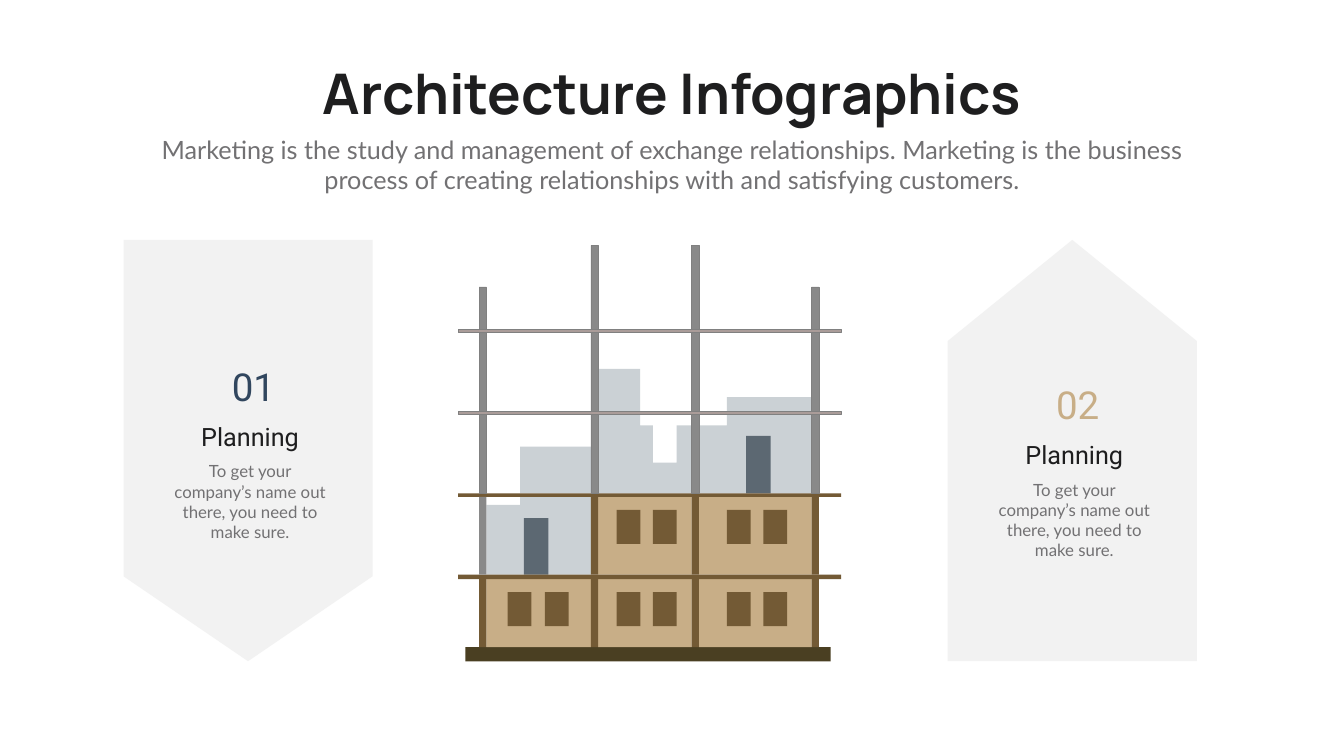
import pptx
import pptx.util
import pptx.dml.color
import pptx.enum.shapes
import pptx.enum.text

Pt = pptx.util.Pt
SHAPE = pptx.enum.shapes.MSO_SHAPE
ALIGN = pptx.enum.text.PP_ALIGN
rgb = pptx.dml.color.RGBColor.from_string


def paint(shape, fill, line=None):
    shape.shadow.inherit = False
    shape.fill.solid()
    shape.fill.fore_color.rgb = rgb(fill)
    if line:
        shape.line.color.rgb = rgb(line)
        shape.line.width = Pt(0.75)
    else:
        shape.line.fill.background()


def write(shapes, text, left, top, width, height, size, font, color,
          align=ALIGN.CENTER, bold=False, wrap=True):
    box = shapes.add_textbox(Pt(left), Pt(top), Pt(width), Pt(height))
    box.text_frame.word_wrap = wrap
    box.text_frame.auto_size = pptx.enum.text.MSO_AUTO_SIZE.SHAPE_TO_FIT_TEXT
    para = box.text_frame.paragraphs[0]
    para.alignment = align
    span = para.add_run()
    span.text = text
    span.font.size = Pt(size)
    span.font.name = font
    span.font.bold = bold
    span.font.color.rgb = rgb(color)


deck = pptx.Presentation()
deck.slide_width = Pt(1919.52)
deck.slide_height = Pt(1080)
page = deck.slides.add_slide(deck.slide_layouts[6])

heading = page.shapes.add_group_shape().shapes
write(heading, "Architecture Infographics", 416.9, 80.6, 1086.5, 104.4,
      80, "Manrope", "1E1E1F", bold=True, wrap=False)
write(heading, "Marketing is the study and management of exchange relationships. "
      "Marketing is the business process of creating relationships with and "
      "satisfying customers.", 210.2, 187.9, 1499, 94.3, 36, "Lato", "727173")

cards = [
    ("01", "31465E", 53.3, 0, 90, 0.341),
    ("02", "C8AE87", 1230.5, 26, 270, 0.406),
]
for number, color, left, drop, turn, point in cards:
    card = page.shapes.add_shape(SHAPE.PENTAGON, Pt(left), Pt(465.8), Pt(601.9), Pt(355.7))
    card.adjustments[0] = point
    card.rotation = turn
    paint(card, "F2F2F2")
    caption = page.shapes.add_group_shape().shapes
    write(caption, "To get your company’s name out there, you need to make sure.",
          left + 181.4, 655.2 + drop, 244.8, 94.3, 24, "Lato", "727173")
    write(caption, "Planning", left + 186.5, 598.3 + drop, 234.7, 51.1,
          36, "Roboto", "1E1E1F")
    write(page.shapes, number, left + 260.3, 514.8 + drop, 86.4, 74.2,
          55, "Roboto", color, align=ALIGN.RIGHT)

TAN, BROWN, STEEL, EDGE = "C8AE87", "735A35", "898989", "808080"
SKYLINE, DOOR = "CBD1D5", "5C6872"
GROUND = 924.5
POST = 10.4
posts = [(684.2, 409.7), (843.8, 350.6), (987.8, 350.6), (1159.2, 409.7)]
beams = [(470.2, 5), (587.5, 5), (704.9, 5), (820.8, 6.5)]
floors = [top + height for top, height in beams]
ceilings = [top for top, height in beams] + [GROUND]
room_lefts = [left + POST for left, top in posts[:3]]
room_rights = [left for left, top in posts[1:]]
windows = [(725, 778.3), (880.6, 932.4), (1038.2, 1090.1)]

skylines = [
    [(743, floors[2]), (room_rights[0], floors[2]), (room_rights[0], ceilings[3]),
     (room_lefts[0], ceilings[3]), (room_lefts[0], 721.4), (743, 721.4)],
    [(room_lefts[1], floors[1]), (914.4, floors[1]), (914.4, 607.7), (932.4, 607.7),
     (932.4, 661), (966.2, 661), (966.2, 607.7), (room_rights[1], 607.7),
     (room_rights[1], ceilings[2]), (room_lefts[1], ceilings[2])],
    [(1038.2, floors[1]), (room_rights[2], floors[1]), (room_rights[2], ceilings[2]),
     (room_lefts[2], ceilings[2]), (room_lefts[2], 607.7), (1038.2, 607.7)],
]
for outline in skylines:
    corners = [(Pt(x), Pt(y)) for x, y in outline]
    builder = page.shapes.build_freeform(*corners[0], scale=1.0)
    builder.add_line_segments(corners[1:], close=True)
    paint(builder.convert_to_shape(), SKYLINE)

blocks = [
    (743, 637.9, room_rights[0], ceilings[2], SKYLINE, None),
    (room_lefts[1], 527, 914.4, ceilings[1], SKYLINE, None),
    (1038.2, 567.4, room_rights[2], ceilings[1], SKYLINE, None),
    (748.1, 740.2, 783.4, ceilings[3], DOOR, None),
    (1065.6, 622.8, 1100.5, ceilings[2], DOOR, None),
    (664.6, GROUND, 1186.2, GROUND + 20.2, "4A3F22", None),
]
for level, room in [(3, 0), (3, 1), (3, 2), (2, 1), (2, 2)]:
    floor = floors[level]
    blocks.append((room_lefts[room], floor, room_rights[room], ceilings[level + 1], TAN, None))
    for left in windows[room]:
        blocks.append((left, floor + 18.7, left + 34, floor + 67.3, BROWN, None))
for level, (top, height) in enumerate(beams):
    fill, line = (BROWN, None) if level > 1 else ("AA9C99", EDGE)
    blocks.append((654.5, top, 1201.3, top + height, fill, line))
for column, (left, peak) in enumerate(posts):
    for level, (top, bottom) in enumerate(zip([peak] + floors, ceilings)):
        built = level == 4 or (level == 3 and column > 0)
        line = EDGE if level < 3 else None
        blocks.append((left, top, left + POST, bottom, BROWN if built else STEEL, line))

for left, top, right, bottom, fill, line in blocks:
    block = page.shapes.add_shape(SHAPE.RECTANGLE, Pt(left), Pt(top),
                                  Pt(right - left), Pt(bottom - top))
    paint(block, fill, line)

deck.save("out.pptx")
